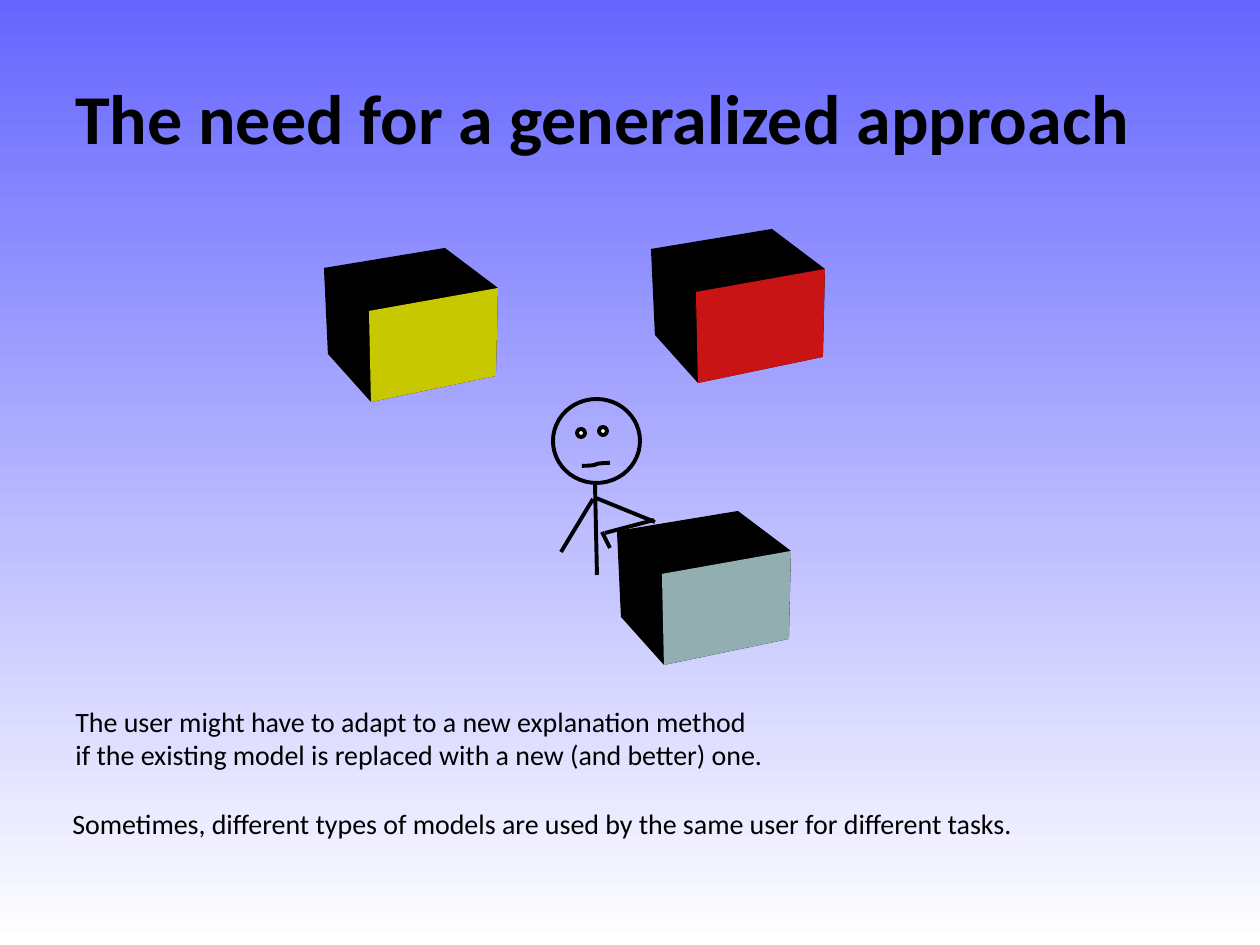
"""Build the slide on the need for a generalized approach."""
from lxml import etree
from pptx import Presentation
from pptx.dml.color import RGBColor
from pptx.enum.shapes import MSO_CONNECTOR as LINK, MSO_SHAPE
from pptx.enum.text import MSO_ANCHOR
from pptx.oxml.ns import qn
from pptx.util import Inches, Pt

PX = Inches(10) / 1260
BLACK = RGBColor(0, 0, 0)
WHITE = RGBColor(255, 255, 255)
SKY = RGBColor(0x66, 0x66, 0xFF)
YELLOW = RGBColor(0xC8, 0xC8, 0x00)
RED = RGBColor(0xC8, 0x14, 0x14)
TEAL = RGBColor(0x92, 0xAE, 0xB1)


def emu(*lengths):
    return [round(length * PX) for length in lengths]


def add_face(points, dx, dy, color):
    moved = [(x + dx, y + dy) for x, y in points]
    builder = slide.shapes.build_freeform(*moved[0], scale=PX)
    builder.add_line_segments(moved[1:], close=True)
    face = builder.convert_to_shape()
    face.shadow.inherit = False
    face.fill.solid()
    face.fill.fore_color.rgb = color
    face.line.fill.background()


prs = Presentation()
prs.slide_width, prs.slide_height = emu(1260, 945)
slide = prs.slides.add_slide(prs.slide_layouts[6])

sky = slide.background.fill
sky.gradient()
sky.gradient_angle = 270
for stop, color in zip(sky.gradient_stops, (SKY, WHITE)):
    stop.color.rgb = color

HEAD = (553, 399, 87, 84)
EYES = [(577, 429, 8, 8), (599, 427, 8, 8)]
for bounds in [HEAD, *EYES]:
    oval = slide.shapes.add_shape(MSO_SHAPE.OVAL, *emu(*bounds))
    oval.shadow.inherit = False
    if bounds in EYES:
        oval.fill.solid()
        oval.fill.fore_color.rgb = WHITE
    else:
        oval.fill.background()
    oval.line.color.rgb = BLACK
    oval.line.width = Pt(2.25)

STROKES = [
    (LINK.STRAIGHT, 595, 483, 597, 575),
    (LINK.STRAIGHT, 593, 499, 561, 552),
    (LINK.STRAIGHT, 596, 498, 655, 522),
    (LINK.STRAIGHT, 605, 533, 654, 520),
    (LINK.STRAIGHT, 602, 532, 610, 548),
    (LINK.CURVE, 582, 466, 610, 463),
]
for kind, *ends in STROKES:
    stroke = slide.shapes.add_connector(kind, *emu(*ends))
    stroke.line.color.rgb = BLACK
    stroke.line.width = Pt(2.25)
    etree.SubElement(stroke._element.spPr, qn("a:effectLst"))

OUTLINE = [(324, 268), (445, 248), (498, 288), (496, 376), (371, 402), (328, 354)]
FRONT = [(369, 311), (498, 288), (496, 376), (371, 402)]
for dx, dy, color in [(293, 263, TEAL), (0, 0, YELLOW), (327, -19, RED)]:
    add_face(OUTLINE, dx, dy, BLACK)
    add_face(FRONT, dx, dy, color)

TEXTS = [
    ((63, 38, 1134, 157), 40, True, "The need for a generalized approach"),
    ((60, 800, 974, 47), 16, False,
     "Sometimes, different types of models are used by the same user for different tasks."),
    ((63, 698, 717, 81), 16, False,
     "The user might have to adapt to a new explanation method\n"
     "if the existing model is replaced with a new (and better) one."),
]
for bounds, size, is_title, wording in TEXTS:
    frame = slide.shapes.add_textbox(*emu(*bounds)).text_frame
    frame.word_wrap = is_title
    frame.vertical_anchor = MSO_ANCHOR.MIDDLE if is_title else MSO_ANCHOR.TOP
    frame.text = wording
    for paragraph in frame.paragraphs:
        for run in paragraph.runs:
            run.font.name = "Calibri"
            run.font.size = Pt(size)
            run.font.bold = is_title
            run.font.color.rgb = BLACK

prs.save("out.pptx")
